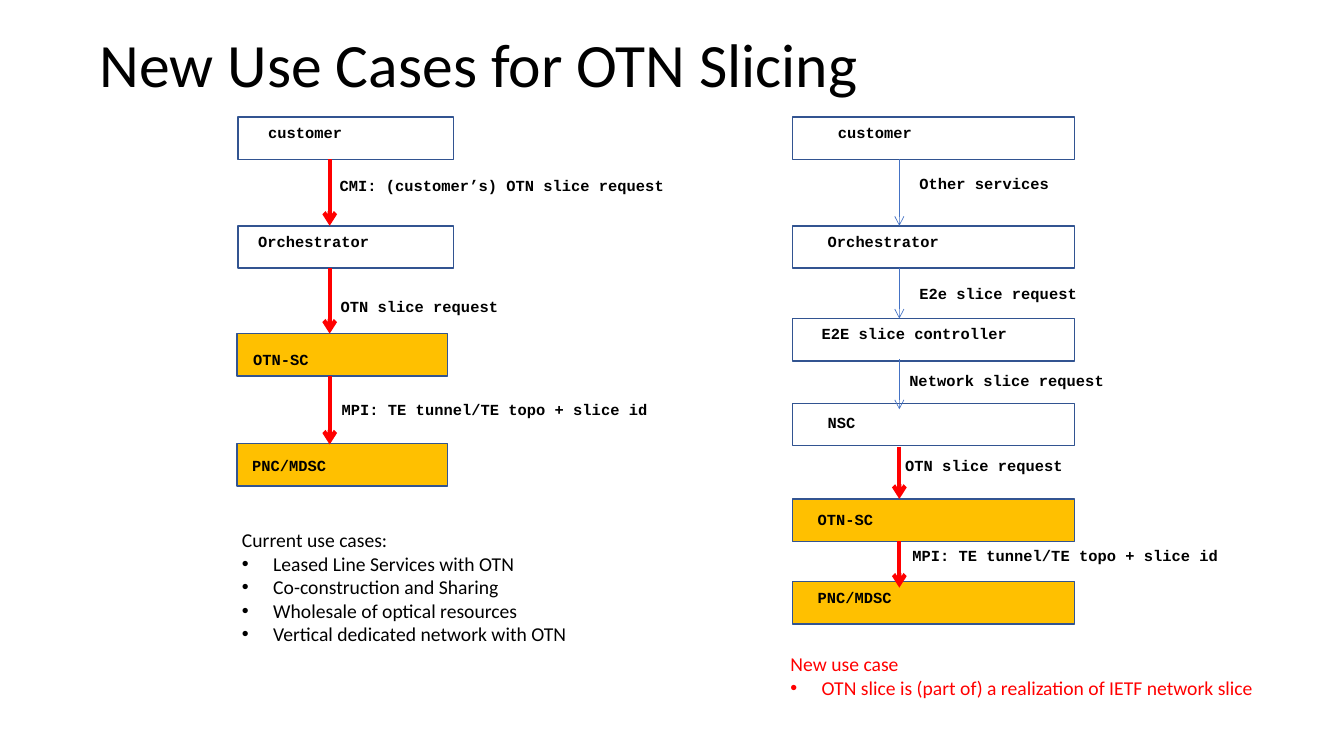
from dataclasses import dataclass

from lxml import etree
from pptx import Presentation
from pptx.dml.color import RGBColor
from pptx.enum.shapes import MSO_CONNECTOR, MSO_SHAPE
from pptx.enum.text import MSO_ANCHOR, MSO_AUTO_SIZE, PP_ALIGN
from pptx.oxml.ns import qn
from pptx.util import Emu, Pt

RECTANGLE = MSO_SHAPE.RECTANGLE
STRAIGHT = MSO_CONNECTOR.STRAIGHT
TOP, MIDDLE = MSO_ANCHOR.TOP, MSO_ANCHOR.MIDDLE
LEFT = PP_ALIGN.LEFT
NO_AUTOFIT = MSO_AUTO_SIZE.NONE

BLACK = RGBColor(0x00, 0x00, 0x00)
RED = RGBColor(0xFF, 0x00, 0x00)
BLUE = RGBColor(0x44, 0x72, 0xC4)
OUTLINE = RGBColor(0x32, 0x54, 0x91)
AMBER = RGBColor(0xFF, 0xC0, 0x00)

SANS, MONO = "Calibri", "Courier New"
EMU_PER_PX = 9144  # 100 px to the inch
BOX_HEIGHT = 42
LABEL_HEIGHT = 29
INSET_X, INSET_Y = 10, 5
HANGING = 31


@dataclass(frozen=True)
class Box:
    text: str
    left: int
    top: int
    width: int
    text_left: int
    text_top: int = 6
    fill: RGBColor | None = None


@dataclass(frozen=True)
class Arrow:
    x: int
    top: int
    bottom: int
    color: RGBColor = RED
    weight: float = 3


@dataclass(frozen=True)
class Label:
    text: str
    left: int
    top: int


@dataclass(frozen=True)
class UseCases:
    heading: str
    items: tuple[str, ...]
    left: int
    top: int
    width: int
    height: int
    color: RGBColor
    indent: int = 0


BOXES = (
    # Current use cases
    Box("customer", 236, 116, 214, 30),
    Box("Orchestrator", 236, 224, 214, 20),
    Box("OTN-SC", 235, 331, 209, 16, 16, AMBER),
    Box("PNC/MDSC", 235, 440, 209, 15, 12, AMBER),
    # New use case
    Box("customer", 786, 116, 280, 45),
    Box("Orchestrator", 786, 224, 280, 35),
    Box("E2E slice controller", 786, 316, 280, 29),
    Box("NSC", 786, 400, 280, 35, 10),
    Box("OTN-SC", 786, 495, 280, 25, 11, AMBER),
    Box("PNC/MDSC", 786, 577, 280, 25, 6, AMBER),
)

ARROWS = (
    Arrow(327, 158, 224),
    Arrow(327, 266, 331),
    Arrow(327, 373, 441),
    Arrow(892, 158, 224, BLUE, 0.5),
    Arrow(892, 266, 316, BLUE, 0.5),
    Arrow(892, 356, 406, BLUE, 0.5),
    Arrow(892, 443, 495),
    Arrow(892, 537, 583),
)

LABELS = (
    Label("CMI: (customer’s) OTN slice request", 327, 170),
    Label("OTN slice request", 328, 290),
    Label("MPI: TE tunnel/TE topo + slice id", 329, 392),
    Label("Other services", 902, 168),
    Label("E2e slice request", 902, 277),
    Label("Network slice request", 892, 363),
    Label("OTN slice request", 888, 448),
    Label("MPI: TE tunnel/TE topo + slice id", 895, 537),
)

USE_CASES = (
    UseCases("Current use cases:",
             ("Leased Line Services with OTN",
              "Co-construction and Sharing",
              "Wholesale of optical resources",
              "Vertical dedicated network with OTN"),
             180, 519, 400, 151, BLACK, indent=50),
    UseCases("New use case",
             ("OTN slice is (part of) a realization of IETF network slice",),
             774, 642, 504, 57, RED),
)


def px(length: int) -> Emu:
    return Emu(length * EMU_PER_PX)


def place(shape, left: int, top: int, width: int, height: int) -> None:
    shape.left, shape.top = px(left), px(top)
    shape.width, shape.height = px(width), px(height)


def set_frame(frame, *, left=INSET_X, top=INSET_Y, bottom=INSET_Y, anchor=TOP, wrap=True) -> None:
    frame.margin_left, frame.margin_right = px(left), px(INSET_X)
    frame.margin_top, frame.margin_bottom = px(top), px(bottom)
    frame.vertical_anchor = anchor
    frame.auto_size = NO_AUTOFIT
    frame.word_wrap = wrap


def write(paragraph, text: str, *, font=MONO, size=11, color=BLACK, bold=False, spacing=1.0) -> None:
    paragraph.alignment = LEFT
    paragraph.line_spacing = spacing
    paragraph.space_before = paragraph.space_after = Pt(0)
    run = paragraph.add_run()
    run.text = text
    run.font.name, run.font.size, run.font.bold = font, Pt(size), bold
    run.font.color.rgb = color


def set_bullet(paragraph, margin: int, bullet: str | None = None) -> None:
    properties = paragraph._p.get_or_add_pPr()
    properties.set("marL", str(px(margin)))
    properties.set("indent", str(px(-HANGING if bullet else 0)))
    if bullet:
        etree.SubElement(properties, qn("a:buFont"), typeface="Arial")
        etree.SubElement(properties, qn("a:buChar"), char=bullet)
    else:
        etree.SubElement(properties, qn("a:buNone"))


def draw_box(slide, box: Box) -> None:
    shape = slide.shapes.add_shape(
        RECTANGLE, px(box.left), px(box.top), px(box.width), px(BOX_HEIGHT))
    shape.shadow.inherit = False
    shape.line.color.rgb, shape.line.width = OUTLINE, Pt(1)
    if box.fill is None:
        shape.fill.background()
    else:
        shape.fill.solid()
        shape.fill.fore_color.rgb = box.fill
    set_frame(shape.text_frame, left=box.text_left, top=box.text_top, bottom=0)
    write(shape.text_frame.paragraphs[0], box.text, bold=True)


def draw_arrow(slide, arrow: Arrow) -> None:
    connector = slide.shapes.add_connector(
        STRAIGHT, px(arrow.x), px(arrow.top), px(arrow.x), px(arrow.bottom))
    connector.line.color.rgb, connector.line.width = arrow.color, Pt(arrow.weight)
    etree.SubElement(connector.line._get_or_add_ln(), qn("a:tailEnd"), type="arrow")
    etree.SubElement(connector._element.spPr, qn("a:effectLst"))


def draw_label(slide, label: Label) -> None:
    width = round(len(label.text) * 9.25) + 2 * INSET_X
    shape = slide.shapes.add_textbox(
        px(label.left), px(label.top), px(width), px(LABEL_HEIGHT))
    set_frame(shape.text_frame, wrap=False)
    write(shape.text_frame.paragraphs[0], label.text, bold=True)


def fill_use_cases(placeholder, cases: UseCases) -> None:
    place(placeholder, cases.left, cases.top, cases.width, cases.height)
    frame = placeholder.text_frame
    set_frame(frame)
    heading = frame.paragraphs[0]
    write(heading, cases.heading, font=SANS, size=14, color=cases.color)
    set_bullet(heading, cases.indent)
    for item in cases.items:
        paragraph = frame.add_paragraph()
        write(paragraph, item, font=SANS, size=14, color=cases.color)
        set_bullet(paragraph, cases.indent + HANGING, "•")


def main() -> None:
    presentation = Presentation()
    presentation.slide_width, presentation.slide_height = px(1333), px(750)
    two_content = presentation.slide_layouts.get_by_name("Two Content")
    slide = presentation.slides.add_slide(two_content)

    # Title
    title = slide.shapes.title
    place(title, 89, 23, 1150, 88)
    set_frame(title.text_frame, anchor=MIDDLE)
    write(title.text_frame.paragraphs[0], "New Use Cases for OTN Slicing",
          font=SANS, size=44, spacing=0.9)

    # Controller stacks
    for box in BOXES:
        draw_box(slide, box)
    for arrow in ARROWS:
        draw_arrow(slide, arrow)
    for label in LABELS:
        draw_label(slide, label)

    # Use case lists
    for index, cases in enumerate(USE_CASES, start=1):
        fill_use_cases(slide.placeholders[index], cases)

    presentation.save("out.pptx")


if __name__ == "__main__":
    main()
